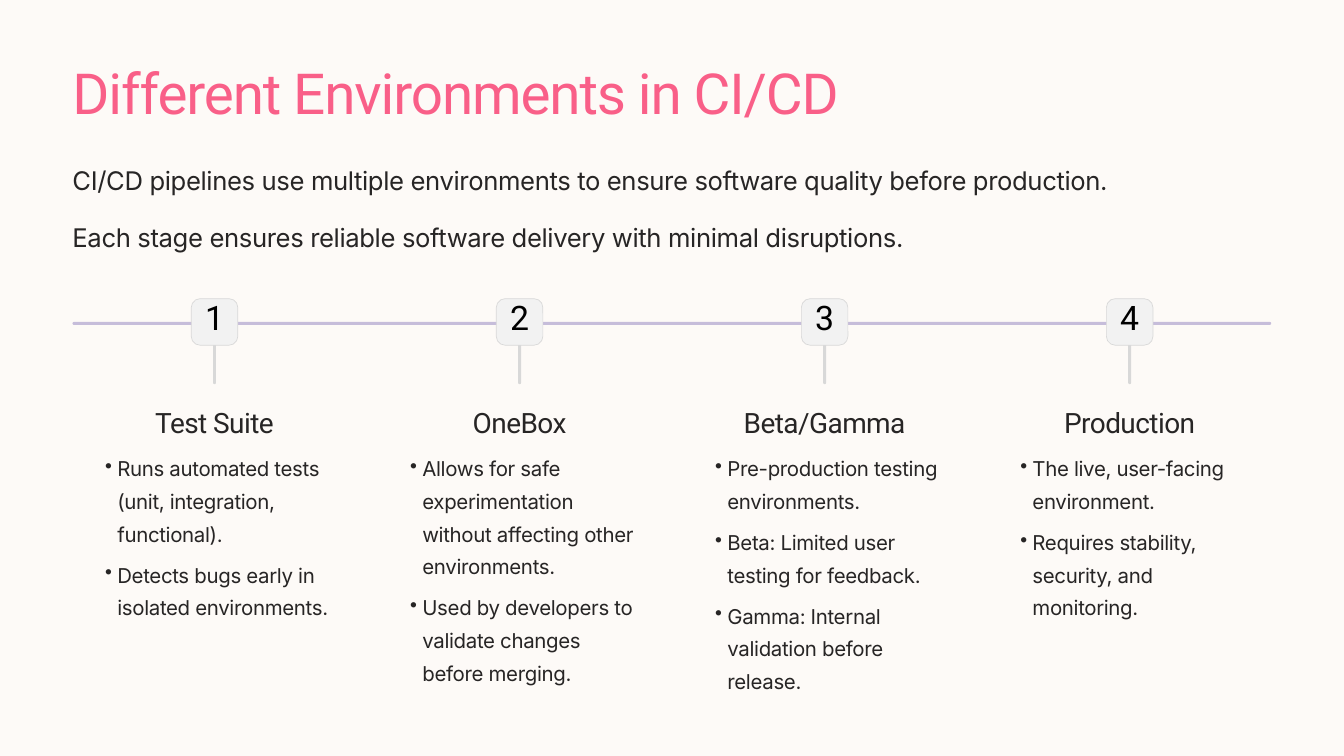
from dataclasses import dataclass

from lxml.etree import SubElement
from pptx import Presentation
from pptx.dml.color import RGBColor
from pptx.enum.shapes import MSO_SHAPE as Shape
from pptx.enum.text import MSO_ANCHOR as Anchor, PP_ALIGN as Align
from pptx.oxml.ns import qn
from pptx.util import Cm, Pt


@dataclass(frozen=True)
class TextStyle:
    font: str
    size: float
    line: float  # line spacing in points
    tracking: float  # letter spacing in points
    color: str
    gap: float = 0  # space between paragraphs in points
    align: Align = Align.LEFT
    bullet: bool = False


@dataclass(frozen=True)
class Theme:
    background: str = "FDFAF7"
    line: str = "C6BDDA"
    stem: str = "D8D8D8"
    badge: str = "F2F2F2"
    title: TextStyle = TextStyle("Roboto", 60.6, 76.2, -1.2, "F95F88")
    intro: TextStyle = TextStyle("Inter", 27.5, 43.8, -0.4, "272525", gap=17.4)
    number: TextStyle = TextStyle("Roboto", 36.2, 36.2, -0.7, "000000", align=Align.CENTER)
    heading: TextStyle = TextStyle("Roboto", 30, 37.5, -0.6, "272525", align=Align.CENTER)
    body: TextStyle = TextStyle("Inter", 21.9, 35, -0.4, "272525", gap=9, bullet=True)


@dataclass(frozen=True)
class Stage:
    name: str
    points: tuple[str, ...]


THEME = Theme()
MARGIN, CONTENT_W = 2.74, 45.31
FIRST_CENTER, COLUMN_STEP, COLUMN_W = 8.11, 11.53, 9.17
LINE_Y, BAR = 12.17, 0.11
STEM_H, BADGE = 2.35, 1.76

INTRO = (
    "CI/CD pipelines use multiple environments to ensure software quality before production.",
    "Each stage ensures reliable software delivery with minimal disruptions.",
)
STAGES = (
    Stage("Test Suite", (
        "Runs automated tests (unit, integration, functional).",
        "Detects bugs early in isolated environments.",
    )),
    Stage("OneBox", (
        "Allows for safe experimentation without affecting other environments.",
        "Used by developers to validate changes before merging.",
    )),
    Stage("Beta/Gamma", (
        "Pre-production testing environments.",
        "Beta: Limited user testing for feedback.",
        "Gamma: Internal validation before release.",
    )),
    Stage("Production", (
        "The live, user-facing environment.",
        "Requires stability, security, and monitoring.",
    )),
)


def write(tf, lines: tuple[str, ...], style: TextStyle, top: float = 0) -> None:
    """Fill a text frame with one paragraph per line."""
    tf.word_wrap = True
    tf.vertical_anchor = Anchor.TOP
    tf.margin_left = tf.margin_right = tf.margin_bottom = 0
    tf.margin_top = Cm(top)
    for i, line in enumerate(lines):
        p = tf.paragraphs[0] if i == 0 else tf.add_paragraph()
        p.alignment = style.align
        p.line_spacing = Pt(style.line)
        if i:
            p.space_before = Pt(style.gap)
        if style.bullet:
            ppr = p._p.get_or_add_pPr()
            ppr.set("marL", str(Cm(0.91)))
            ppr.set("indent", str(-Cm(0.46)))
            SubElement(ppr, qn("a:buChar")).set("char", "•")
        r = p.add_run()
        r.text = line
        r.font.name = style.font
        r.font.size = Pt(style.size)
        r.font.color.rgb = RGBColor.from_string(style.color)
        r._r.get_or_add_rPr().set("spc", str(round(style.tracking * 100)))


def add_text(s, x: float, y: float, w: float, h: float,
             lines: tuple[str, ...], style: TextStyle) -> None:
    write(s.shapes.add_textbox(Cm(x), Cm(y), Cm(w), Cm(h)).text_frame, lines, style)


def add_rounded(s, x: float, y: float, w: float, h: float, fill: str, radius: float = 0.5):
    sp = s.shapes.add_shape(Shape.ROUNDED_RECTANGLE, Cm(x), Cm(y), Cm(w), Cm(h))
    sp.shadow.inherit = False
    sp.adjustments[0] = radius
    sp.fill.solid()
    sp.fill.fore_color.rgb = RGBColor.from_string(fill)
    sp.line.fill.background()
    return sp


def add_stage(s, index: int, stage: Stage) -> None:
    center = FIRST_CENTER + index * COLUMN_STEP
    left = center - COLUMN_W / 2

    # Stem and numbered badge
    add_rounded(s, center - BAR / 2, LINE_Y, BAR, STEM_H, THEME.stem)
    badge = add_rounded(s, center - BADGE / 2, LINE_Y - BADGE / 2, BADGE, BADGE,
                        THEME.badge, radius=0.19)
    badge.line.color.rgb = RGBColor.from_string(THEME.stem)
    badge.line.width = Pt(0.75)
    write(badge.text_frame, (str(index + 1),), THEME.number, top=0.08)

    # Heading and bullet list
    add_text(s, left, 15.27, COLUMN_W, 1.4, (stage.name,), THEME.heading)
    add_text(s, left, 16.94, COLUMN_W, 9.5, stage.points, THEME.body)


def main() -> None:
    prs = Presentation()
    prs.slide_width = Cm(50.8)
    prs.slide_height = prs.slide_width * 9 // 16
    s = prs.slides.add_slide(prs.slide_layouts[6])
    s.background.fill.solid()
    s.background.fill.fore_color.rgb = RGBColor.from_string(THEME.background)

    # Title and introduction
    add_text(s, MARGIN, 2.08, 31.34, 2.77, ("Different Environments in CI/CD",), THEME.title)
    add_text(s, MARGIN, 5.84, CONTENT_W, 3.94, INTRO, THEME.intro)

    # Timeline
    add_rounded(s, MARGIN, LINE_Y, CONTENT_W, BAR, THEME.line)
    for i, stage in enumerate(STAGES):
        add_stage(s, i, stage)

    prs.save("out.pptx")


if __name__ == "__main__":
    main()
